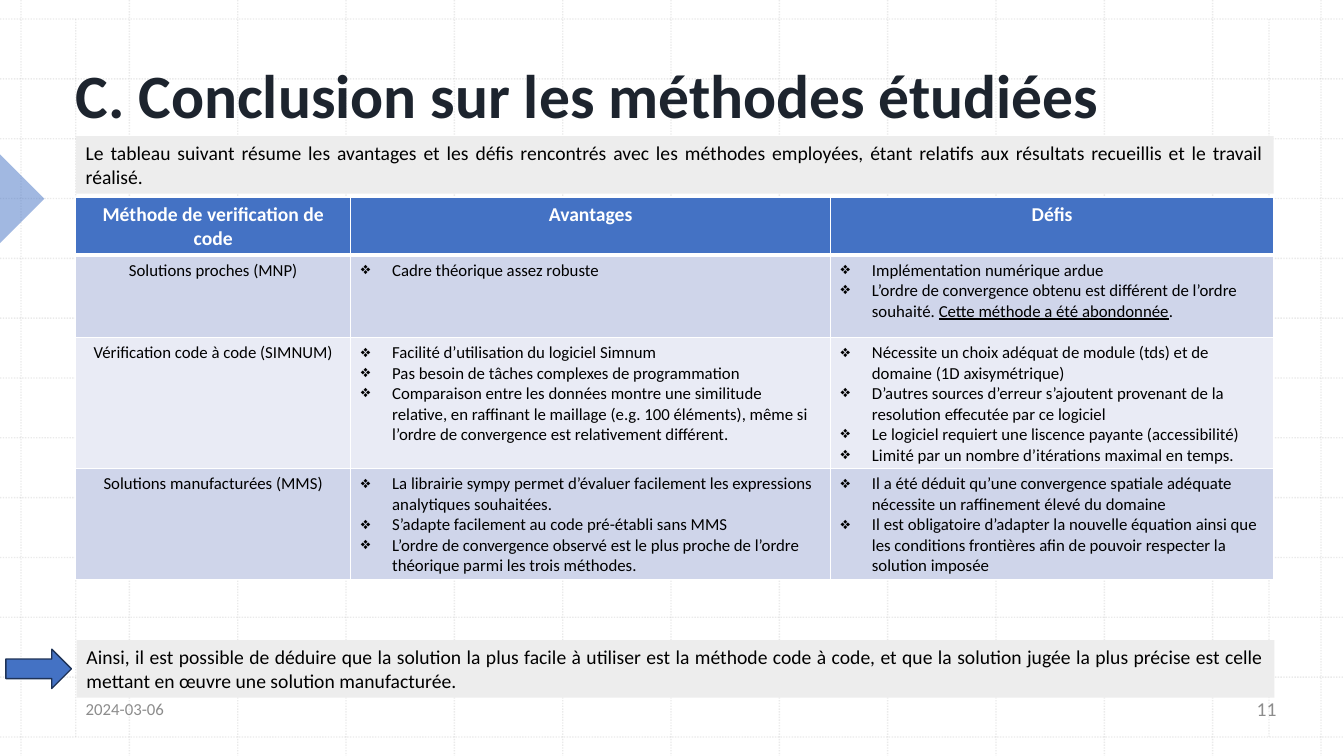
"""Builds the conclusion slide that compares the verification methods."""
from lxml.etree import SubElement
from pptx import Presentation
from pptx.dml.color import RGBColor
from pptx.enum.dml import MSO_LINE
from pptx.enum.shapes import MSO_CONNECTOR, MSO_SHAPE
from pptx.enum.text import MSO_ANCHOR, MSO_AUTO_SIZE, PP_ALIGN
from pptx.oxml import parse_xml
from pptx.oxml.ns import nsdecls, qn
from pptx.util import Cm, Pt

WIDTH, HEIGHT = 33.87, 19.05
LEFT, CONTENT_WIDTH = 1.91, 30.19
BLUE, NAVY, DARK, BLACK, WHITE = "4472C4", "1E3256", "1D242E", "000000", "FFFFFF"
GREY, PALE, GRID = "8C8C8C", "EDEDED", "BCBCBC"
BANDS = ["CFD5EA", "E9EBF5"]

INTRO = ("Le tableau suivant résume les avantages et les défis rencontrés avec les méthodes "
         "employées, étant relatifs aux résultats recueillis et le travail réalisé.")
CLOSING = ("Ainsi, il est possible de déduire que la solution la plus facile à utiliser est la "
           "méthode code à code, et que la solution jugée la plus précise est celle mettant en "
           "œuvre une solution manufacturée.")
HEADINGS = ["Méthode de verification de code", "Avantages", "Défis"]
METHODS = [
    ("Solutions proches (MNP)",
     ["Cadre théorique assez robuste"],
     ["Implémentation numérique ardue",
      "L’ordre de convergence obtenu est différent de l’ordre souhaité. "
      "_Cette méthode a été abondonnée_."]),
    ("Vérification code à code (SIMNUM)",
     ["Facilité d’utilisation du logiciel Simnum",
      "Pas besoin de tâches complexes de programmation",
      "Comparaison entre les données montre une similitude relative, en raffinant le maillage "
      "(e.g. 100 éléments), même si l’ordre de convergence est relativement différent."],
     ["Nécessite un choix adéquat de module (tds) et de domaine (1D axisymétrique)",
      "D’autres sources d’erreur s’ajoutent provenant de la resolution effecutée par ce logiciel",
      "Le logiciel requiert une liscence payante (accessibilité)",
      "Limité par un nombre d’itérations maximal en temps."]),
    ("Solutions manufacturées (MMS)",
     ["La librairie sympy permet d’évaluer facilement les expressions analytiques souhaitées.",
      "S’adapte facilement au code pré-établi sans MMS",
      "L’ordre de convergence observé est le plus proche de l’ordre théorique parmi les trois "
      "méthodes."],
     ["Il a été déduit qu’une convergence spatiale adéquate nécessite un raffinement élevé du "
      "domaine",
      "Il est obligatoire d’adapter la nouvelle équation ainsi que les conditions frontières "
      "afin de pouvoir respecter la solution imposée"]),
]


def paint(fill, hex_color, opacity=100):
    """Make a fill solid from a hex string, with optional opacity in percent."""
    fill.solid()
    fill.fore_color.rgb = RGBColor.from_string(hex_color)
    if opacity < 100:
        solid = fill._xPr.find(qn("a:solidFill"))
        SubElement(solid[0], qn("a:alpha"), val=str(opacity * 1000))


class SlideBuilder:
    """Holds the text style and the current slide."""

    def __init__(self, page, font_name):
        """Keep the slide and its typeface."""
        self.page = page
        self.font_name = font_name

    def set_text(self, frame, lines, size, color, align=PP_ALIGN.LEFT, bold=False, bullet=None):
        """Fill a text frame; underscores enclose underlined words."""
        frame.word_wrap = True
        for index, line in enumerate(lines):
            para = frame.paragraphs[0] if index == 0 else frame.add_paragraph()
            para.alignment = align
            if bullet:
                properties = para._p.get_or_add_pPr()
                properties.set("marL", str(Cm(0.79)))
                properties.set("indent", str(-Cm(0.79)))
                SubElement(properties, qn("a:buChar"), char=bullet)
            para.font.name = self.font_name
            para.font.size = Pt(size)
            para.font.bold = bold
            paint(para.font.fill, color)
            for position, words in enumerate(line.split("_")):
                span = para.add_run()
                span.text = words
                if position % 2:
                    span.font.underline = True

    def title(self, text, left, top, width, height):
        """Move and format the title placeholder, in front of what is drawn so far."""
        box = self.page.shapes.title
        box.left, box.top, box.width, box.height = Cm(left), Cm(top), Cm(width), Cm(height)
        self.page.shapes._spTree.append(box._element)
        box.text_frame.auto_size = MSO_AUTO_SIZE.NONE
        box.text_frame.vertical_anchor = MSO_ANCHOR.BOTTOM
        self.set_text(box.text_frame, [text], 44, DARK, bold=True)

    def label(self, text, left, top, width, height, size, align=PP_ALIGN.LEFT):
        """Add a grey footer label."""
        box = self.page.shapes.add_textbox(Cm(left), Cm(top), Cm(width), Cm(height))
        box.text_frame.vertical_anchor = MSO_ANCHOR.MIDDLE
        self.set_text(box.text_frame, [text], size, GREY, align)

    def shape(self, kind, left, top, width, height, fill, outline=None, opacity=100):
        """Add a flat preset shape."""
        shape = self.page.shapes.add_shape(kind, Cm(left), Cm(top), Cm(width), Cm(height))
        shape.shadow.inherit = False
        paint(shape.fill, fill, opacity)
        if outline:
            paint(shape.line.fill, outline)
            shape.line.width = Pt(1)
        else:
            shape.line.fill.background()
        return shape

    def banner(self, text, left, top):
        """Add a justified statement on a pale strip."""
        strip = self.shape(MSO_SHAPE.RECTANGLE, left, top, CONTENT_WIDTH, 1.45, PALE)
        strip.text_frame.vertical_anchor = MSO_ANCHOR.TOP
        self.set_text(strip.text_frame, [text], 14, BLACK, PP_ALIGN.JUSTIFY)

    def grid_line(self, start_x, start_y, end_x, end_y):
        """Add a faint dotted line."""
        line = self.page.shapes.add_connector(
            MSO_CONNECTOR.STRAIGHT, Cm(start_x), Cm(start_y), Cm(end_x), Cm(end_y))
        paint(line.line.fill, GRID, 30)
        line.line.width = Pt(1)
        line.line.dash_style = MSO_LINE.ROUND_DOT
        SubElement(line._element.spPr, qn("a:effectLst"))

    def style_cell(self, cell, fill, bottom=1, top=1):
        """Fill a cell and draw its white borders."""
        paint(cell.fill, fill)
        properties = cell._tc.get_or_add_tcPr()
        edges = {"lnL": 1, "lnR": 1, "lnT": top, "lnB": bottom}
        for index, (edge, points) in enumerate(edges.items()):
            properties.insert(index, parse_xml(
                f'<a:{edge} {nsdecls("a")} w="{Pt(points)}"><a:solidFill>'
                f'<a:srgbClr val="{WHITE}"/></a:solidFill></a:{edge}>'))

    def comparison(self, left, top, widths, heights):
        """Add the table of methods, advantages and challenges."""
        frame = self.page.shapes.add_table(
            len(heights), len(widths), Cm(left), Cm(top), Cm(sum(widths)), Cm(sum(heights)))
        table = frame.table
        for column, width in zip(table.columns, widths):
            column.width = Cm(width)
        for row, height in zip(table.rows, heights):
            row.height = Cm(height)
        for index, heading in enumerate(HEADINGS):
            cell = table.cell(0, index)
            self.style_cell(cell, BLUE, bottom=3)
            self.set_text(cell.text_frame, [heading], 14, WHITE, PP_ALIGN.CENTER, bold=True)
        for number, (method, *points) in enumerate(METHODS):
            cells = list(table.rows[number + 1].cells)
            for cell in cells:
                self.style_cell(cell, BANDS[number % 2], top=1 if number else 3)
            self.set_text(cells[0].text_frame, [method], 12, BLACK, PP_ALIGN.CENTER)
            for cell, lines in zip(cells[1:], points):
                self.set_text(cell.text_frame, lines, 12, BLACK, bullet="❖")


def main():
    """Build and save the slide."""
    deck = Presentation()
    deck.slide_width, deck.slide_height = Cm(WIDTH), Cm(HEIGHT)
    builder = SlideBuilder(deck.slides.add_slide(deck.slide_layouts[5]), "Calibri")

    first_row, last_row, steps = 0.48, 18.57, 12
    for step in range(steps + 1):
        across = 0.53 + step * 2.73
        down = first_row + step * (last_row - first_row) / steps
        builder.grid_line(across, 0, across, HEIGHT)
        builder.grid_line(0, down, WIDTH, down)
    for margin in (LEFT, 31.98):
        builder.grid_line(margin, first_row, margin, last_row)
    marker = builder.shape(MSO_SHAPE.RIGHT_TRIANGLE, -0.79, 4.22, 1.58, 1.58, BLUE, opacity=50)
    marker.rotation = 225

    builder.title("C. Conclusion sur les méthodes étudiées", 1.65, 0.97, 31.65, 2.46)
    builder.label("2024-03-06", LEFT, 17.27, 10.67, 1.17, 12)
    builder.label("11", 30.56, 17.27, 2.72, 1.17, 14, PP_ALIGN.CENTER)
    builder.banner(CLOSING, 1.93, 16.13)
    builder.comparison(LEFT, 4.98, [6.93, 12.09, 11.17], [1.45, 2.08, 3.3, 2.79])
    builder.banner(INTRO, LEFT, 3.43)
    builder.shape(MSO_SHAPE.RIGHT_ARROW, 0.15, 16.36, 1.65, 0.99, BLUE, NAVY)
    deck.save("out.pptx")


if __name__ == "__main__":
    main()
